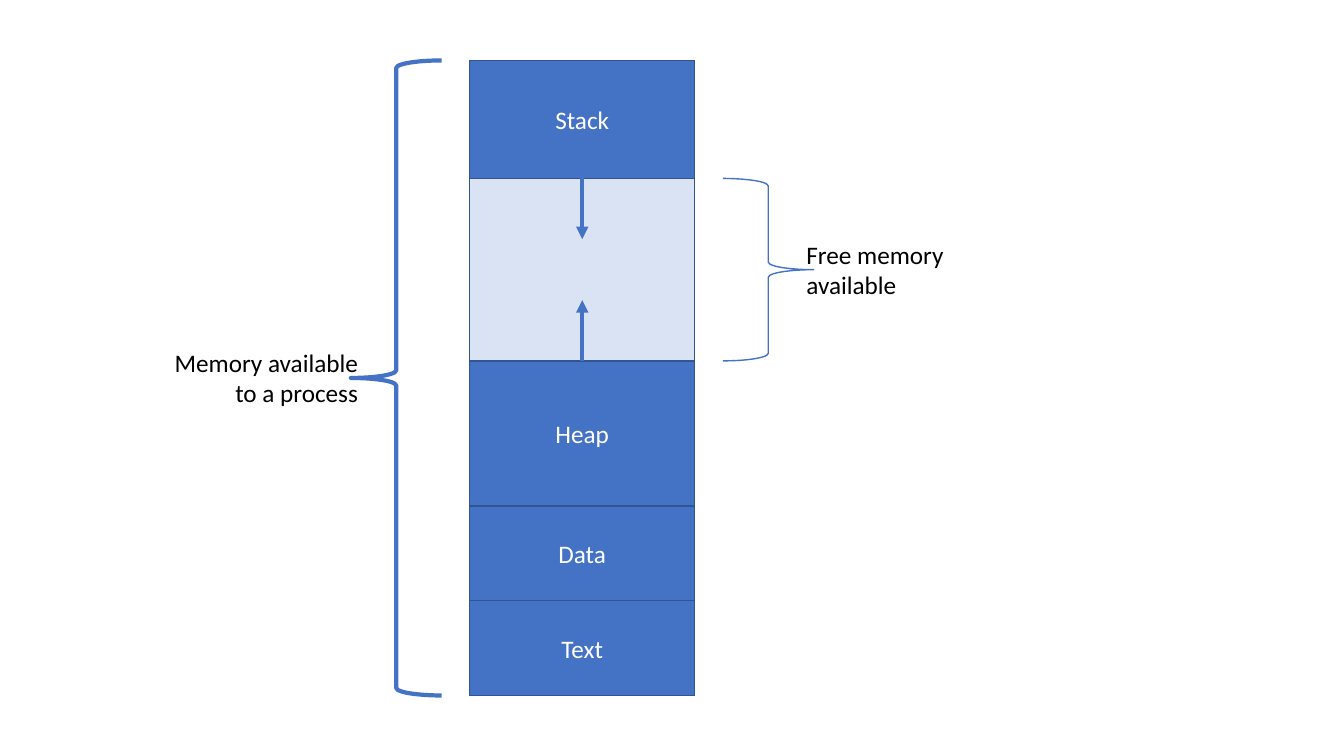
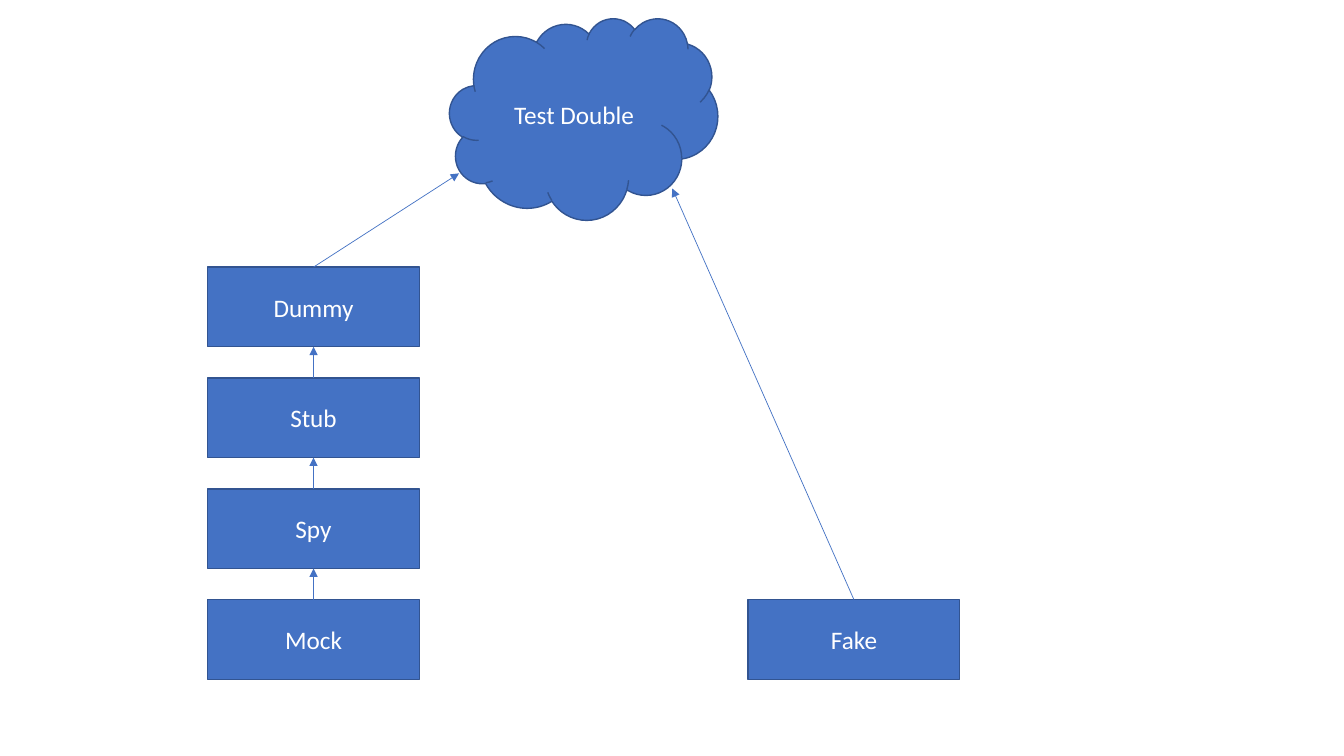
from pptx import Presentation, util as u
from pptx.dml.color import RGBColor
from pptx.enum import shapes, text
from pptx.oxml.ns import qn
from lxml import etree

BLUE, EDGE, PALE = "4472C4", "325491", "DAE3F3"
WHITE, BLACK = "FFFFFF", "000000"
FONT, SIZE = "Calibri", 18
KIND = shapes.MSO_SHAPE
ALIGN = text.PP_ALIGN


def tint(item, color):
    item.rgb = RGBColor.from_string(color)


def inches(*sizes):
    return [u.Inches(size) for size in sizes]


def write(frame, words, color, align):
    frame.word_wrap = True
    para = frame.paragraphs[0]
    para.alignment = align
    run = para.add_run()
    run.text = words
    run.font.name = FONT
    run.font.size = u.Pt(SIZE)
    tint(run.font.color, color)


def block(slide, box, words="", fill=BLUE, kind=KIND.RECTANGLE):
    shape = slide.shapes.add_shape(kind, *inches(*box))
    shape.shadow.inherit = False
    shape.fill.solid()
    tint(shape.fill.fore_color, fill)
    tint(shape.line.color, EDGE)
    shape.line.width = u.Pt(1)
    if words:
        shape.text_frame.vertical_anchor = text.MSO_ANCHOR.MIDDLE
        write(shape.text_frame, words, WHITE, ALIGN.CENTER)
    return shape


def brace(slide, box, width, turn=0):
    shape = slide.shapes.add_shape(KIND.LEFT_BRACE, *inches(*box))
    shape.shadow.inherit = False
    shape.fill.background()
    tint(shape.line.color, BLUE)
    shape.line.width = u.Pt(width)
    shape.rotation = turn


def label(slide, box, words, align):
    frame = slide.shapes.add_textbox(*inches(*box)).text_frame
    write(frame, words, BLACK, align)
    frame.auto_size = text.MSO_AUTO_SIZE.SHAPE_TO_FIT_TEXT


def arrow(slide, start, end, width):
    line = slide.shapes.add_connector(
        shapes.MSO_CONNECTOR.STRAIGHT, *inches(*start, *end))
    tint(line.line.color, BLUE)
    line.line.width = u.Pt(width)
    pen = line.line._get_or_add_ln()
    etree.SubElement(pen, qn("a:tailEnd"), type="triangle")
    etree.SubElement(pen.getparent(), qn("a:effectLst"))
    return line


def memory(slide, box):
    left, top, wide, high = box
    parts = [("Stack", 1.17), ("", 1.81), ("Heap", 1.44),
             ("Data", 0.94), ("Text", 0.94)]
    total = sum(size for _, size in parts)
    block(slide, box, fill=PALE)
    y = top
    for words, size in parts:
        tall = high * size / total
        if words:
            block(slide, (left, y, wide, tall), words)
        else:
            free, gap = y, tall
        y += tall

    mid, reach = left + wide / 2, gap / 3
    arrow(slide, (mid, free + gap), (mid, free + gap - reach), 3)
    arrow(slide, (mid, free), (mid, free + reach), 3)

    space, span, note, tall = 0.28, 0.9, 2.03, 0.71
    right = left + wide + space
    lap = 0.17
    brace(slide, (left - space - span, top, span, high), 3)
    brace(slide, (right, free, span, gap), 1, 180)
    label(slide, (left - space - span + lap - note,
                  top + (high - tall) / 2, note, tall),
          "Memory available to a process", ALIGN.RIGHT)
    label(slide, (right + span - lap, free + (gap - tall) / 2, note, tall),
          "Free memory available", ALIGN.LEFT)


def doubles(slide, box):
    left, top, wide, high = box
    cell, tall, step = 2.1, 0.79, 1.1
    cloud = (left + 2.4, top, 2.66, 2)
    block(slide, cloud, "Test Double", kind=KIND.CLOUD)

    def target(across, down):
        return cloud[0] + across * cloud[2], cloud[1] + down * cloud[3]

    names = ["Dummy", "Stub", "Spy", "Mock"]
    base = top + high - tall
    first = base - step * (len(names) - 1)
    chain = [block(slide, (left, first + i * step, cell, tall), name)
             for i, name in enumerate(names)]
    fake = block(slide, (left + wide - cell, base, cell, tall), "Fake")

    for upper, lower in zip(chain, chain[1:]):
        line = arrow(slide, (left, base), (left, first), 0.5)
        line.begin_connect(lower, 0)
        line.end_connect(upper, 2)
    for node, goal in ((chain[0], target(0.035, 0.77)),
                       (fake, target(0.83, 0.845))):
        arrow(slide, (left, base), goal, 0.5).begin_connect(node, 0)


def main():
    deck = Presentation()
    deck.slide_width, deck.slide_height = inches(13.33, 7.5)
    pages = [(memory, (4.66, 0.6, 2.23, 6.3)),
             (doubles, (2.06, 0.18, 7.46, 6.56))]
    for draw, box in pages:
        draw(deck.slides.add_slide(deck.slide_layouts[6]), box)
    deck.save("out.pptx")


if __name__ == "__main__":
    main()
